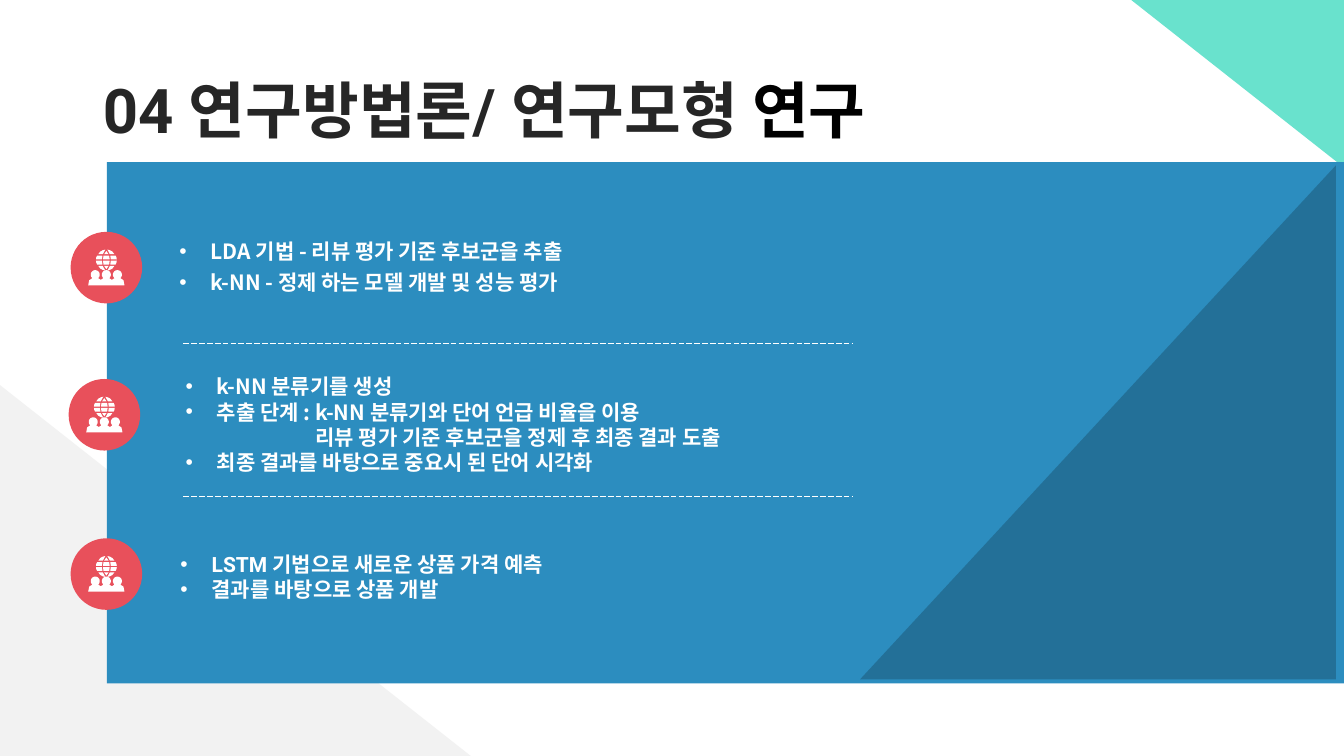
from math import cos, radians, sin

from lxml.etree import SubElement
from pptx import Presentation
from pptx.dml.color import RGBColor
from pptx.enum.dml import MSO_LINE
from pptx.enum.shapes import MSO_CONNECTOR, MSO_SHAPE
from pptx.enum.text import MSO_ANCHOR, PP_ALIGN
from pptx.oxml.ns import qn
from pptx.util import Inches, Pt

NOTO, ROBOTO = "Noto Sans CJK KR", "Roboto"
WHITE, CORAL, BLUE = "FFFFFF", "E8505B", "2C8DBF"
BADGE_SIZE = 0.71

# Globe outlines in hundredths of an inch from the globe centre
GLOBE_CENTRE_PIECES = [
    [(0, -9), (2.2, -5.8), (-2.2, -5.8)],
    [(-2.8, -4.4), (2.8, -4.4), (3.3, -0.6), (-3.3, -0.6)],
]
GLOBE_SIDE_PIECES = [
    [(1, -10.4), (3.5, -9.8), (6, -8.4), (8, -5.8), (3.5, -5.8), (2.4, -8)],
    [(3.9, -4.4), (9.2, -4.4), (10, -2.6), (10.3, -0.6), (4.4, -0.6)],
]

# Left, top, width, row texts, font of each row, and space before each row
TOPICS = [
    (1.78, 2.25, 5.87, [("LDA 기법 - 리뷰 평가 기준 후보군을 추출", NOTO),
                        ("k-NN - 정제 하는 모델 개발 및 성능 평가", NOTO)]),
    (1.84, 3.8, 6.52, [("k-NN 분류기를 생성", NOTO),
                       ("추출 단계 : k-NN 분류기와 단어 언급 비율을 이용", NOTO),
                       ("리뷰 평가 기준 후보군을 정제 후 최종 결과 도출", NOTO),
                       ("최종 결과를 바탕으로 중요시 된 단어 시각화", ROBOTO)]),
    (1.79, 5.31, 5.87, [("LSTM 기법으로 새로운 상품 가격 예측", ROBOTO),
                        ("결과를 바탕으로 상품 개발", ROBOTO)]),
]
CONTINUATION = TOPICS[1][3][2][0]


def rgb(hex_colour):
    return RGBColor.from_string(hex_colour)


def paint(shape, colour):
    shape.fill.solid()
    shape.fill.fore_color.rgb = rgb(colour)
    shape.line.fill.background()
    shape.shadow.inherit = False


def add_block(shapes, kind, left, top, width, height, colour, adjustment=None):
    block = shapes.add_shape(kind, Inches(left), Inches(top),
                             Inches(width), Inches(height))
    if adjustment is not None:
        block.adjustments[0] = adjustment
    paint(block, colour)
    return block


def add_outline(shapes, points):
    start, *rest = [(Inches(x), Inches(y)) for x, y in points]
    builder = shapes.build_freeform(*start)
    builder.add_line_segments(rest)
    paint(builder.convert_to_shape(), WHITE)


def add_run(paragraph, text, font, size, colour):
    run = paragraph.add_run()
    run.text = text
    run.font.name = font
    run.font.size = Pt(size)
    run.font.bold = True
    run.font.color.rgb = rgb(colour)
    SubElement(run.font._element, qn("a:ea"), typeface=NOTO)


def set_indent(paragraph, margin, hanging=0):
    properties = paragraph._p.get_or_add_pPr()
    properties.set("marL", str(Inches(margin)))
    properties.set("indent", str(Inches(-hanging)))
    if hanging:
        SubElement(properties, qn("a:buFont"), typeface="Arial")
        SubElement(properties, qn("a:buChar"), char="•")


def add_topic(slide, left, top, width, rows, spaced):
    box = slide.shapes.add_textbox(Inches(left), Inches(top),
                                   Inches(width), Inches(0.82))
    frame = box.text_frame
    frame.word_wrap = True
    frame.vertical_anchor = MSO_ANCHOR.MIDDLE
    frame.margin_left = frame.margin_right = 0
    frame.margin_top = frame.margin_bottom = 0
    for index, (text, font) in enumerate(rows):
        paragraph = frame.add_paragraph() if index else frame.paragraphs[0]
        if spaced:
            paragraph.line_spacing = 0.9
            paragraph.space_before = Pt(6)
        if text == CONTINUATION:
            set_indent(paragraph, 1.29)
        else:
            set_indent(paragraph, 0.31, 0.31)
        add_run(paragraph, text, font, 15, WHITE)


def people_outline(centre_x, top):
    """Three heads and shoulders joined into one silhouette."""
    base = top + 0.15
    points = [(centre_x - 0.18, base)]
    for offset in (-0.11, 0, 0.11):
        x = centre_x + offset
        points.append((x - 0.06, top + 0.1))
        points += [(x + 0.045 * cos(radians(a)), top + 0.045 + 0.045 * sin(radians(a)))
                   for a in range(130, 411, 20)]
        points.append((x + 0.06, top + 0.1))
    return points + [(centre_x + 0.18, base)]


def add_badge(slide, left, top):
    badge = add_block(slide.shapes, MSO_SHAPE.ROUNDED_RECTANGLE,
                      left, top, BADGE_SIZE, BADGE_SIZE, CORAL, 0.5)
    badge.rotation = 90
    icon = slide.shapes.add_group_shape().shapes
    centre_x, globe_y = left + BADGE_SIZE / 2, top + 0.28
    add_outline(icon, people_outline(centre_x, top + 0.38))
    for pieces, sides in ((GLOBE_CENTRE_PIECES, (1,)), (GLOBE_SIDE_PIECES, (-1, 1))):
        for piece in pieces:
            for side in sides:
                for half in (1, -1):
                    add_outline(icon, [(centre_x + side * x / 100, globe_y + half * y / 100)
                                       for x, y in piece])


def add_divider(slide, y):
    divider = slide.shapes.add_connector(MSO_CONNECTOR.STRAIGHT, Inches(1.82), Inches(y),
                                         Inches(8.45), Inches(y))
    divider.line.color.rgb = rgb(WHITE)
    divider.line.width = Pt(0.5)
    divider.line.dash_style = MSO_LINE.LONG_DASH
    SubElement(divider._element.spPr, qn("a:effectLst"))


def add_background(slide):
    triangle = MSO_SHAPE.ISOSCELES_TRIANGLE
    add_block(slide.shapes, triangle, 0, 3.82, 4.67, 3.68, "F2F2F2", 0)
    corner = add_block(slide.shapes, triangle, 11.22, 0, 2.12, 1.67, "69E2CD", 0)
    corner.rotation = 180
    add_block(slide.shapes, MSO_SHAPE.RECTANGLE, 1.06, 1.61, 12.27, 5.17, BLUE)
    shade = add_block(slide.shapes, triangle, 8.53, 1.64, 4.72, 5.1, "000000", 1)
    shade_colour = shade._element.spPr.find(qn("a:solidFill"))[0]
    SubElement(shade_colour, qn("a:alpha"), val="20000")


def set_title(slide):
    title = slide.shapes.title
    title.left, title.top = Inches(0.92), Inches(0.4)
    title.width, title.height = Inches(11.5), Inches(1.45)
    title.text_frame.vertical_anchor = MSO_ANCHOR.MIDDLE
    heading = title.text_frame.paragraphs[0]
    heading.alignment = PP_ALIGN.LEFT
    heading.line_spacing = 0.9
    add_run(heading, "04 연구방법론/ 연구모형", ROBOTO, 44, "262626")
    add_run(heading, " 연구", NOTO, 44, "000000")


def main():
    deck = Presentation()
    deck.slide_width, deck.slide_height = Inches(13.33), Inches(7.5)
    slide = deck.slides.add_slide(deck.slide_layouts[5])
    add_background(slide)
    set_title(slide)
    for y in (3.41, 4.92):
        add_divider(slide, y)
    for index, topic in enumerate(TOPICS):
        add_topic(slide, *topic, spaced=index == 0)
    for left, top in ((0.7, 2.3), (0.68, 3.76), (0.7, 5.34)):
        add_badge(slide, left, top)
    deck.save("out.pptx")


if __name__ == "__main__":
    main()
